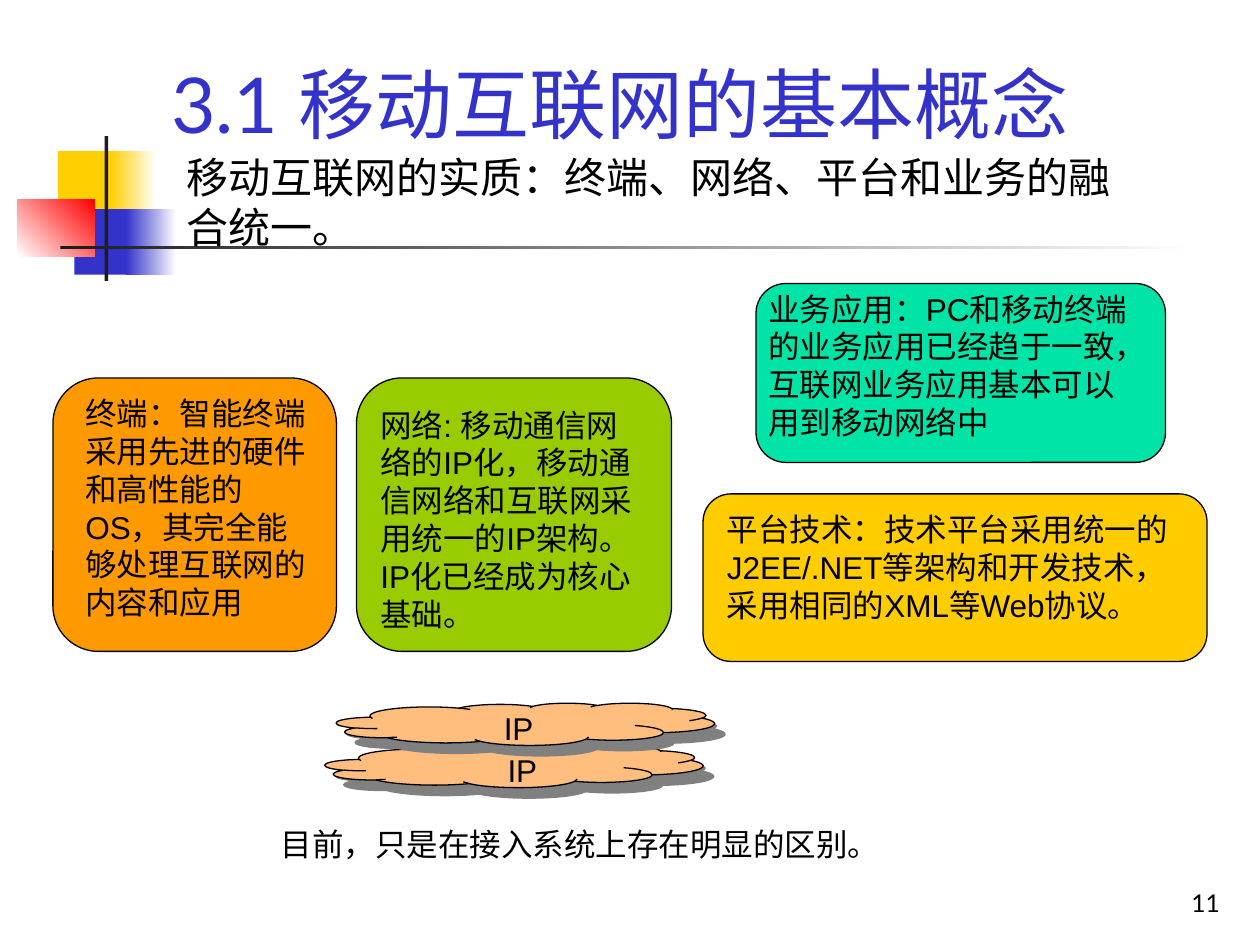
from pptx import Presentation
from pptx.dml.color import RGBColor
from pptx.enum.shapes import MSO_SHAPE
from pptx.enum.text import MSO_ANCHOR, PP_ALIGN
from pptx.oxml import parse_xml
from pptx.oxml.ns import nsdecls
from pptx.util import Inches, Pt

RECT = MSO_SHAPE.RECTANGLE
CARD = MSO_SHAPE.FLOWCHART_ALTERNATE_PROCESS
CLOUD = MSO_SHAPE.CLOUD
TOP, BOTTOM = MSO_ANCHOR.TOP, MSO_ANCHOR.BOTTOM
LEFT, RIGHT = PP_ALIGN.LEFT, PP_ALIGN.RIGHT

COLORS = {
    "white": "FFFFFF", "black": "000000", "ink": "1C1C1C",
    "yellow": "FFCF01", "blue": "3333CC", "red": "FF0000",
    "orange": "FF9900", "gold": "FFCC00", "green": "99CC00",
    "mint": "00E4A8", "peach": "FFBE7D", "gray": "808080",
}


def rgb(name):
    return RGBColor.from_string(COLORS[name])


def add_shape(slide, kind, box, fill, line=None):
    shape = slide.shapes.add_shape(kind, *map(Inches, box))
    shape.shadow.inherit = False
    shape.fill.solid()
    shape.fill.fore_color.rgb = rgb(fill)
    if line:
        shape.line.color.rgb = rgb(line)
        shape.line.width = Pt(0.75)
    else:
        shape.line.fill.background()
    return shape


def add_fade(slide, box, start, end, angle=0):
    fill = add_shape(slide, RECT, box, start).fill
    fill.gradient()
    fill.gradient_angle = angle
    for stop, name in zip(fill.gradient_stops, (start, end)):
        stop.color.rgb = rgb(name)


def add_text(slide, box, text, size=18, font="Arial", color="black",
             anchor=TOP, align=LEFT):
    frame = slide.shapes.add_textbox(*map(Inches, box)).text_frame
    frame.word_wrap = True
    frame.vertical_anchor = anchor
    para = frame.paragraphs[0]
    para.alignment = align
    run = para.add_run()
    run.text = text
    run.font.size = Pt(size)
    run.font.name = font
    run.font.color.rgb = rgb(color)


def add_motif(slide, box):
    """Colour blocks crossed by two dark bars."""
    x, y, w, h = box
    # Each block is a solid part with a fading tail
    add_shape(slide, RECT, (x + 0.32, y + 0.12, 0.48, 0.52), "yellow")
    add_fade(slide, (x + 0.74, y + 0.12, 0.36, 0.52), "yellow", "white")
    add_shape(slide, RECT, (x + 0.45, y + 0.58, 0.46, 0.52), "blue")
    add_fade(slide, (x + 0.86, y + 0.58, 0.4, 0.52), "blue", "white")
    add_fade(slide, (x, y + 0.5, 0.61, 0.46), "white", "red", 45)
    # Bars
    add_shape(slide, RECT, (x + 0.69, y, 0.03, h), "ink")
    add_fade(slide, (x + 0.34, y + 0.87, w - 0.34, 0.03), "ink", "white")


def add_card(slide, box, fill, pad, text):
    """Rounded card; pad is the text's left, top, right, bottom margin."""
    x, y, w, h = box
    left, top, right, bottom = pad
    add_shape(slide, CARD, box, fill, "black")
    inner = (x + left, y + top, w - left - right, h - top - bottom)
    add_text(slide, inner, text)


def add_cloud(slide, box):
    cloud = add_shape(slide, CLOUD, box, "peach", "black")
    effects = cloud.element.spPr.find(
        "{http://schemas.openxmlformats.org/drawingml/2006/main}effectLst")
    effects.append(parse_xml(
        f'<a:outerShdw {nsdecls("a")} blurRad="0" dist="{Pt(8.5)}" '
        f'dir="2700000" algn="ctr" rotWithShape="0">'
        f'<a:srgbClr val="{COLORS["gray"]}"/></a:outerShdw>'))


def add_clouds(slide, box):
    """Two stacked clouds, the upper one in front, then their labels."""
    x, y, w, h = box
    tall = h / 2
    add_cloud(slide, (x, y + tall, w - 0.09, tall))
    add_cloud(slide, (x + 0.09, y, w - 0.09, tall))
    for left, top in ((1.32, 0), (1.35, tall)):
        add_text(slide, (x + left, y + top, 0.9, 0.4), "IP")


CARDS = [
    ((0.42, 3, 2.25, 2.17), "orange", (0.16, 0.08, 0.09, 0.19),
     "终端：智能终端采用先进的硬件和高性能的OS，其完全能够处理互联网的内容和应用"),
    ((5.58, 3.92, 4, 1.33), "gold", (0.09, 0.08, 0.16, 0.25),
     "平台技术：技术平台采用统一的J2EE/.NET等架构和开发技术，采用相同的XML等Web协议。"),
    ((2.83, 3, 2.5, 2.17), "green", (0.09, 0.17, 0.16, 0.1),
     "网络: 移动通信网络的IP化，移动通信网络和互联网采用统一的IP架构。IP化已经成为核心基础。"),
    ((6, 2.25, 3.25, 1.42), "mint", (0, 0, 0.08, 0.12),
     "业务应用：PC和移动终端的业务应用已经趋于一致，互联网业务应用基本可以用到移动网络中"),
]


def main():
    prs = Presentation()
    prs.slide_width, prs.slide_height = Inches(10), Inches(7.5)
    slide = prs.slides.add_slide(prs.slide_layouts[6])

    add_motif(slide, (0.14, 1.08, 9.34, 1.15))

    # Heading
    add_text(slide, (1.26, 0.23, 8.52, 1), "3.1 移动互联网的基本概念",
             44, "Lato", "blue", BOTTOM)
    add_text(slide, (1.38, 1.15, 7.64, 0.9),
             "移动互联网的实质：终端、网络、平台和业务的融合统一。", 24)

    for card in CARDS:
        add_card(slide, *card)
    add_clouds(slide, (2.58, 5.58, 3.09, 0.67))

    # Closing remark and page number
    add_text(slide, (2.13, 6.5, 5.79, 0.4),
             "目前，只是在接入系统上存在明显的区别。")
    add_text(slide, (7.7, 6.83, 2.08, 0.5), "11", 14, "Lato",
             anchor=BOTTOM, align=RIGHT)

    prs.save("out.pptx")


if __name__ == "__main__":
    main()
